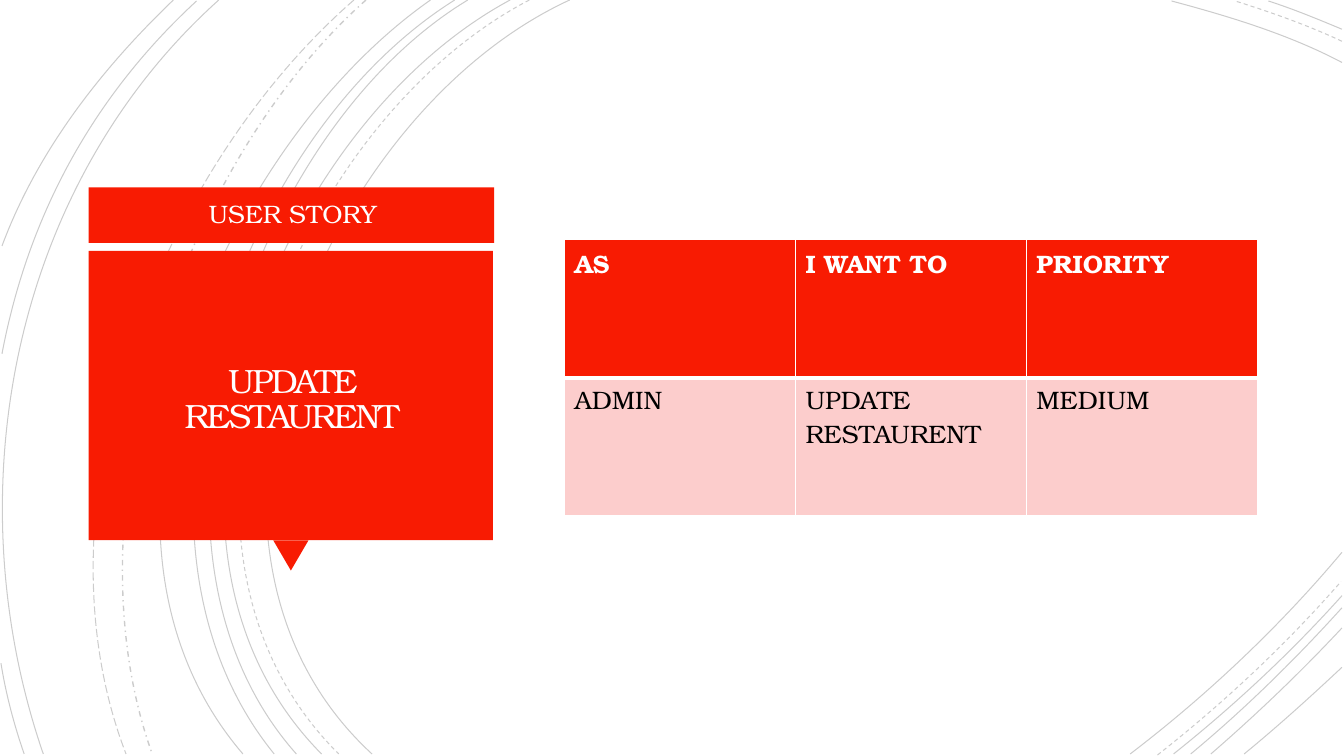
from lxml.etree import SubElement
from pptx import Presentation
from pptx.dml.color import RGBColor
from pptx.enum.dml import MSO_LINE
from pptx.enum.shapes import MSO_SHAPE
from pptx.enum.text import MSO_ANCHOR, MSO_AUTO_SIZE, PP_ALIGN
from pptx.oxml.ns import qn
from pptx.util import Pt

PX = 9144  # 100 px to the inch
THEME = {
    "font": "TeX Gyre Bonum",
    "red": RGBColor(0xF8, 0x1B, 0x02),
    "pink": RGBColor(0xFC, 0xCD, 0xCC),
    "white": RGBColor(0xFF, 0xFF, 0xFF),
    "title_white": RGBColor(0xFF, 0xFE, 0xFF),
    "black": RGBColor(0, 0, 0),
    "body": Pt(18),
    "title": Pt(24),
}


def px(*lengths):
    return [n * PX for n in lengths]


def style(p, size, color, bold=False):
    p.font.name = THEME["font"]
    p.font.size = size
    p.font.color.rgb = color
    p.font.bold = bold


prs = Presentation()
prs.slide_width, prs.slide_height = px(1333, 750)
slide = prs.slides.add_slide(prs.slide_layouts[6])
shapes = slide.shapes

# Background arcs: start, two control points, end
SOLID, DASH = MSO_LINE.SOLID, MSO_LINE.DASH
arcs = [
    (SOLID, (565, 0), (315, 115), (143, 540), (369, 748)),
    (SOLID, (1331, 62), (1278, 34), (1218, 16), (1162, 1)),
    (SOLID, (1121, 748), (1197, 690), (1269, 622), (1331, 548)),
    (DASH, (525, 0), (285, 125), (123, 537), (336, 748)),
    (DASH, (1331, 41), (1297, 25), (1260, 12), (1225, 1)),
    (DASH, (1148, 749), (1213, 698), (1275, 640), (1330, 577)),
    (SOLID, (506, 0), (270, 127), (110, 537), (319, 748)),
    (SOLID, (1331, 29), (1307, 19), (1283, 9), (1258, 1)),
    (SOLID, (1164, 748), (1223, 701), (1280, 648), (1331, 591)),
    (SOLID, (464, 0), (244, 133), (110, 541), (294, 748)),
    (SOLID, (1181, 748), (1234, 704), (1284, 655), (1331, 603)),
    (SOLID, (451, 0), (231, 138), (97, 533), (272, 748)),
    (SOLID, (1201, 748), (1246, 709), (1290, 667), (1331, 623)),
    (SOLID, (427, 0), (217, 147), (53, 529), (241, 748)),
    (SOLID, (1234, 748), (1267, 721), (1299, 692), (1331, 662)),
    (MSO_LINE.DASH_DOT, (363, 0), (176, 166), (65, 509), (151, 748)),
    (MSO_LINE.LONG_DASH, (351, 0), (157, 169), (29, 499), (125, 748)),
    (SOLID, (217, 0), (11, 185), (-46, 490), (43, 748)),
    (SOLID, (195, 1), (92, 96), (28, 214), (2, 351)),
    (SOLID, (1, 658), (6, 689), (14, 719), (24, 748)),
    (SOLID, (172, 0), (100, 69), (37, 150), (2, 244)),
]
for dash, start, *points in arcs:
    builder = shapes.build_freeform(*start, scale=PX)
    builder.add_line_segments(points, close=False)
    sp = builder.convert_to_shape()
    sp.shadow.inherit = False
    sp.fill.background()
    sp.line.color.rgb = THEME["black"]
    sp.line.width = Pt(1 if dash == MSO_LINE.DASH_DOT else 0.75)
    sp.line.dash_style = dash
    color = next(sp.line._ln.iter(qn("a:srgbClr")))
    SubElement(color, qn("a:alpha"), val="20000")
    # Turn the three straight segments into one Bézier curve
    path = next(sp._element.iter(qn("a:path")))
    segments = path.findall(qn("a:lnTo"))
    curve = SubElement(path, qn("a:cubicBezTo"))
    for segment in segments:
        curve.append(segment[0])
        path.remove(segment)

# Red callout
panels = [
    (MSO_SHAPE.RECTANGLE, (88, 186, 402, 55), 0),
    (MSO_SHAPE.ISOSCELES_TRIANGLE, (271, 536, 35, 30), 180),
    (MSO_SHAPE.RECTANGLE, (88, 249, 401, 287), 0),
]
for kind, box, rotation in panels:
    sp = shapes.add_shape(kind, *px(*box))
    sp.shadow.inherit = False
    sp.fill.solid()
    sp.fill.fore_color.rgb = THEME["red"]
    sp.line.fill.background()
    sp.rotation = rotation

# Callout label
tf = shapes.add_textbox(*px(197, 192, 300, 40)).text_frame
tf.word_wrap = True
tf.auto_size = MSO_AUTO_SIZE.SHAPE_TO_FIT_TEXT
p = tf.paragraphs[0]
p.text = "USER STORY"
style(p, THEME["body"], THEME["white"])

# Callout title
tf = shapes.add_textbox(*px(98, 263, 383, 269)).text_frame
tf.word_wrap = True
tf.vertical_anchor = MSO_ANCHOR.MIDDLE
tf.margin_left = tf.margin_right = tf.margin_top = tf.margin_bottom = 25 * PX
p = tf.paragraphs[0]
p.alignment = PP_ALIGN.CENTER
p.line_spacing = 0.85
r = p.add_run()
r.text = "UPDATE RESTAURENT"
r.font._element.set("spc", "-150")
style(p, THEME["title"], THEME["title_white"])

# User story table
rows = [
    ("AS", "I WANT TO", "PRIORITY"),
    ("ADMIN", "UPDATE RESTAURENT", "MEDIUM"),
]
row_styles = [
    (THEME["red"], THEME["white"], True, {"L": 1, "R": 1, "T": 1, "B": 3}),
    (THEME["pink"], THEME["black"], False, {"L": 1, "R": 1, "T": 3, "B": 1}),
]
table = shapes.add_table(2, 3, *px(560, 238, 687, 274)).table
table.horz_banding = False
for i, (row, (fill, color, bold, borders)) in enumerate(zip(rows, row_styles)):
    for j, text in enumerate(row):
        cell = table.cell(i, j)
        tc_pr = cell._tc.get_or_add_tcPr()
        for side, width in borders.items():
            ln = SubElement(tc_pr, qn(f"a:ln{side}"), w=str(Pt(width)))
            line_fill = SubElement(ln, qn("a:solidFill"))
            SubElement(line_fill, qn("a:srgbClr"), val=str(THEME["white"]))
        cell.fill.solid()
        cell.fill.fore_color.rgb = fill
        p = cell.text_frame.paragraphs[0]
        p.text = text
        style(p, THEME["body"], color, bold)

prs.save("out.pptx")
